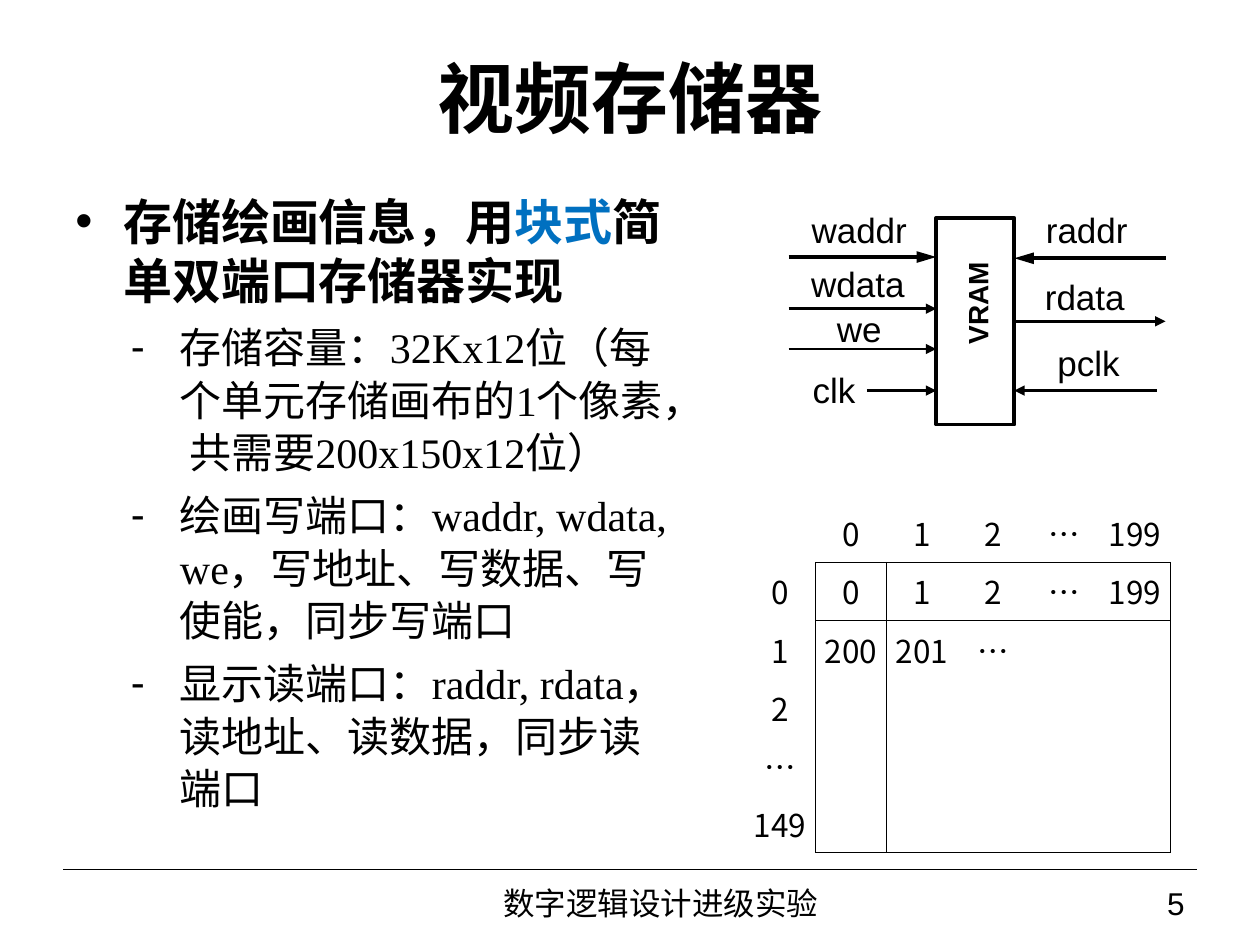
from lxml import etree
from pptx import Presentation
from pptx.dml.color import RGBColor
from pptx.enum.shapes import MSO_CONNECTOR, MSO_SHAPE
from pptx.enum.text import MSO_ANCHOR, PP_ALIGN
from pptx.oxml.ns import qn
from pptx.util import Inches, Pt

BLACK = RGBColor(0, 0, 0)
WHITE = RGBColor(255, 255, 255)
BLUE = RGBColor(0, 0x70, 0xC0)
ARIAL, TIMES, NOTO = "Arial", "Times New Roman", "Noto Sans CJK SC"
PLAIN = "{2D5ABB26-0587-4C30-8999-92F81FD0307C}"


def style(para, size, face, bold=False, align=PP_ALIGN.LEFT):
    """Set the font and alignment of a paragraph."""
    font = para.font
    font.size, font.name, font.bold = Pt(size), face, bold
    font.color.rgb = BLACK
    para.alignment = align
    east = etree.SubElement(para._p.pPr.find(qn("a:defRPr")), qn("a:ea"))
    east.set("typeface", NOTO)


def add_text(shapes, box, text, size, face, bold=False, align=PP_ALIGN.CENTER,
             wrap=True, pad=(0.1, 0.05)):
    """Add a one-paragraph text box, centred in height."""
    shape = shapes.add_textbox(*map(Inches, box))
    frame = shape.text_frame
    frame.word_wrap = wrap
    frame.vertical_anchor = MSO_ANCHOR.MIDDLE
    frame.margin_left = frame.margin_right = Inches(pad[0])
    frame.margin_top = frame.margin_bottom = Inches(pad[1])
    para = frame.paragraphs[0]
    para.text = text
    style(para, size, face, bold, align)
    return shape


def add_line(shapes, start, end, width, arrow=None):
    """Add a black line, with an arrowhead at its head or tail if asked."""
    line = shapes.add_connector(MSO_CONNECTOR.STRAIGHT, *map(Inches, start + end))
    line.line.color.rgb = BLACK
    line.line.width = Pt(width)
    if arrow:
        tip = etree.SubElement(line.line._get_or_add_ln(), qn(f"a:{arrow}End"))
        tip.set("type", "triangle")
        tip.set("len", "lg" if width > 2 else "med")
    etree.SubElement(line._element.spPr, qn("a:effectLst"))
    return line


def add_bullet(para, mark, left, hang):
    """Give a paragraph a bullet and a hanging indent."""
    props = para._p.get_or_add_pPr()
    props.set("marL", str(Inches(left)))
    props.set("indent", str(-Inches(hang)))
    face = etree.Element(qn("a:buFont"), typeface=ARIAL)
    char = etree.Element(qn("a:buChar"), char=mark)
    base = props.find(qn("a:defRPr"))
    base.addprevious(face)
    base.addprevious(char)


def add_body(slide, box):
    """Add the bulleted description."""
    frame = slide.shapes.add_textbox(*map(Inches, box)).text_frame
    frame.word_wrap = True
    lead = frame.paragraphs[0]
    for text in ("存储绘画信息，用", "块式", "简单双端口存储器实现"):
        run = lead.add_run()
        run.text = text
        if text == "块式":
            run.font.color.rgb = BLUE
    lead.space_after = Pt(6)
    style(lead, 28, TIMES, True)
    add_bullet(lead, "•", 0.38, 0.38)
    for text in (
        "存储容量：32Kx12位（每个单元存储画布的1个像素， 共需要200x150x12位）",
        "绘画写端口：waddr, wdata, we，写地址、写数据、写使能，同步写端口",
        "显示读端口：raddr, rdata，读地址、读数据，同步读端口",
    ):
        para = frame.add_paragraph()
        para.text = text
        para.level = 1
        para.line_spacing, para.space_after = Pt(30), Pt(6)
        style(para, 24, TIMES)
        add_bullet(para, "-", 0.83, 0.39)


def add_vram(slide, left, top):
    """Add the memory block with its named ports."""
    shapes = slide.shapes.add_group_shape().shapes
    block = shapes.add_shape(MSO_SHAPE.RECTANGLE, Inches(left + 1.17),
                             Inches(top + 0.08), Inches(0.62), Inches(1.64))
    block.shadow.inherit = False
    block.fill.background()
    block.line.color.rgb = BLACK
    block.line.width = Pt(2.25)
    name = add_text(shapes, (left + 1.07, top + 0.57, 0.85, 0.37), "VRAM", 16,
                    ARIAL, True, wrap=False)
    name.rotation = 270
    ports = [
        ("waddr", 0.16, 0, 0.8, 0, 1.17, 0.39, 2.25, "tail"),
        ("wdata", 0.15, 0.43, 0.8, 0, 1.17, 0.8, 1.5, "tail"),
        ("we", 0.36, 0.79, 0.4, 0, 1.17, 1.12, 1.5, "tail"),
        ("clk", 0.14, 1.27, 0.44, 0.62, 1.17, 1.45, 1.5, "tail"),
        ("raddr", 2.01, 0, 0.71, 1.79, 2.99, 0.4, 2.25, "head"),
        ("rdata", 2, 0.53, 0.7, 1.79, 2.99, 0.9, 1.5, "tail"),
        ("pclk", 2.08, 1.06, 0.6, 1.79, 2.92, 1.45, 1.5, "head"),
    ]
    for text, x, y, wide, start, end, level, width, arrow in ports:
        add_text(shapes, (left + x, top + y, wide, 0.34), text, 20, ARIAL,
                 wrap=False, pad=(0, 0))
        line = add_line(shapes, (left + start, top + level),
                        (left + end, top + level), width, arrow)
        if text == "rdata":
            line.begin_connect(block, 3)


def add_border(cell, side):
    """Draw a thin black border on one side of a cell."""
    props = cell._tc.get_or_add_tcPr()
    edge = etree.SubElement(props, qn(f"a:ln{side}"), w=str(Pt(0.45)))
    fill = etree.SubElement(edge, qn("a:solidFill"))
    etree.SubElement(fill, qn("a:srgbClr"), val=str(BLACK))


def add_grid(slide, box):
    """Add the table of pixel addresses by row and column."""
    rows = [
        ["", "0", "1", "2", "…", "199"],
        ["0", "0", "1", "2", "…", "199"],
        ["1", "200", "201", "…", "", ""],
        ["2"] + [""] * 5,
        ["…"] + [""] * 5,
        ["149"] + [""] * 5,
    ]
    last = len(rows) - 1
    table = slide.shapes.add_table(6, 6, *map(Inches, box)).table
    table.first_row = table.horz_banding = False
    table._tbl.tblPr.find(qn("a:tableStyleId")).text = PLAIN
    for r, row in enumerate(rows):
        for c, text in enumerate(row):
            cell = table.cell(r, c)
            cell.vertical_anchor = MSO_ANCHOR.MIDDLE
            cell.margin_left = cell.margin_right = Inches(0.01)
            para = cell.text_frame.paragraphs[0]
            para.text = text
            style(para, 18, NOTO, align=PP_ALIGN.CENTER)
            inside = r > 0 and c > 0
            edges = {
                "L": inside and c == 1,
                "R": r > 0 and c in (0, last),
                "T": inside and r == 1,
                "B": c > 0 and r in (0, last),
            }
            for side, drawn in edges.items():
                if drawn:
                    add_border(cell, side)
            if inside:
                cell.fill.solid()
                cell.fill.fore_color.rgb = WHITE
            else:
                cell.fill.background()


def add_footer(slide, left, top, wide):
    """Add the rule, course name and page number."""
    shapes = slide.shapes
    add_line(shapes, (left, top), (left + wide, top), 0.75)
    add_text(shapes, (left + 2.33, top + 0.08, 4.83, 0.37),
             "数字逻辑设计进级实验", 18, ARIAL)
    add_text(shapes, (left + wide - 1.75, top + 0.08, 1.75, 0.37), "5", 18,
             ARIAL, align=PP_ALIGN.RIGHT)


def main():
    """Build the slide and save it."""
    deck = Presentation()
    deck.slide_width, deck.slide_height = Inches(10), Inches(7.5)
    slide = deck.slides.add_slide(deck.slide_layouts[6])
    add_footer(slide, 0.5, 6.9, 9)
    add_text(slide.shapes, (0.5, 0.3, 9, 0.93), "视频存储器", 44, TIMES, True)
    add_body(slide, (0.5, 1.47, 4.94, 5.35))
    add_grid(slide, (5.91, 4, 3.38, 2.77))
    add_vram(slide, 6.26, 1.65)
    deck.save("out.pptx")


if __name__ == "__main__":
    main()
